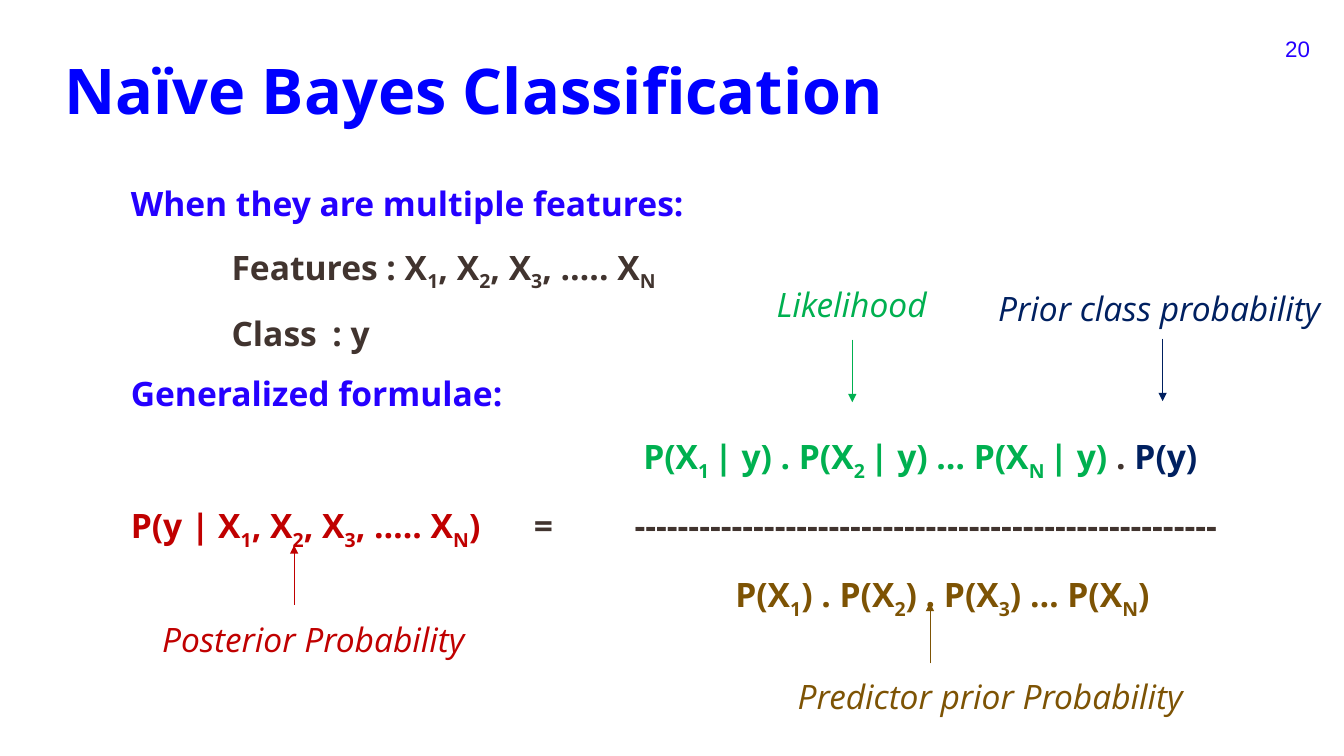
from pptx import Presentation
from pptx.dml.color import RGBColor
from pptx.enum.shapes import MSO_CONNECTOR as Connector
from pptx.enum.text import MSO_ANCHOR as Anchor, MSO_AUTO_SIZE as AutoSize, PP_ALIGN as Align
from pptx.oxml.ns import qn
from pptx.util import Inches, Pt
from lxml.etree import SubElement

BLUE, TITLE_BLUE, DARK = "2500FF", "0000FF", "41342F"
GREEN, NAVY, RED, BROWN = "00B050", "002060", "C00000", "7D5304"
BODY = {"name": "Open Sans", "size": Pt(24), "bold": True}
LABEL = {"name": "Open Sans", "size": Pt(24), "italic": True}
TITLE = {"name": "Open Sans", "size": Pt(45), "bold": True}
NUMBER = {"name": "Arial", "size": Pt(16)}

# Text between tildes is subscript.
LINES = [
    [("When they are multiple features:", BLUE)],
    [("\tFeatures : X~1~, X~2~, X~3~, ….. X~N~", DARK)],
    [("\tClass\t: y", DARK)],
    [("Generalized formulae:", BLUE)],
    [("\t\t\t\t\t ", DARK),
     ("P(X~1 ~| y) . P(X~2 ~| y) … P(X~N ~| y) ", GREEN),
     (". ", DARK), ("P(y)", NAVY)],
    [("P(y | X~1~, X~2~, X~3~, ….. X~N~)", RED), ("\t=\t" + "-" * 54, DARK)],
    [("\t\t\t\t\t\tP(X~1~) . P(X~2~) . P(X~3~) … P(X~N~)", BROWN)],
]

LABELS = [
    ("Posterior Probability", RED, (1.51, 6.09, 3.21, 0.5), (2.92, 6, 5.41)),
    ("Predictor prior Probability", BROWN, (7.82, 6.66, 4.03, 0.5), (9.23, 6.58, 5.98)),
    ("Likelihood", GREEN, (7.61, 2.77, 1.7, 0.5), (8.46, 3.37, 3.99)),
    ("Prior class probability", NAVY, (9.81, 2.81, 3.4, 0.5), (11.54, 3.36, 3.98)),
]


def color(value):
    """Turn a hex string into a colour."""
    return RGBColor.from_string(value)


def set_all(target, values):
    """Set every attribute named in a dict."""
    for name, value in values.items():
        setattr(target, name, value)


def add_spans(para, text, shade, style):
    """Add text to a paragraph, lowering the parts between tildes."""
    for index, part in enumerate(text.split("~")):
        if part:
            span = para.add_run()
            span.text = part
            set_all(span.font, style)
            span.font.color.rgb = color(shade)
            if index % 2:
                span.font._element.set("baseline", "-25000")


def add_text(page, place, lines, style, frame_values, para_values):
    """Add a text box whose lines are lists of text and colour pairs."""
    frame = page.shapes.add_textbox(*map(Inches, place)).text_frame
    set_all(frame, frame_values)
    for index, line in enumerate(lines):
        para = frame.paragraphs[0] if index == 0 else frame.add_paragraph()
        set_all(para, para_values)
        if any("\t" in text for text, shade in line):
            add_tabs(para)
        for text, shade in line:
            add_spans(para, text, shade, style)


def add_tabs(para):
    """Put a left tab stop at every inch."""
    stops = SubElement(para._p.get_or_add_pPr(), qn("a:tabLst"))
    for inch in range(1, 8):
        SubElement(stops, qn("a:tab"), pos=str(Inches(inch)), algn="l")


def add_arrow(page, x, start, end, shade):
    """Add a thin vertical arrow."""
    arrow = page.shapes.add_connector(
        Connector.STRAIGHT, Inches(x), Inches(start), Inches(x), Inches(end))
    arrow.line.width = Pt(0.5)
    arrow.line.color.rgb = color(shade)
    SubElement(arrow.line._get_or_add_ln(), qn("a:tailEnd"), type="triangle")
    SubElement(arrow._element.spPr, qn("a:effectLst"))


def main():
    """Build the slide and save it."""
    deck = Presentation()
    deck.slide_width, deck.slide_height = Inches(13.34), Inches(7.5)
    page = deck.slides.add_slide(deck.slide_layouts[6])
    middle = {"word_wrap": True, "vertical_anchor": Anchor.MIDDLE}
    add_text(page, (0.54, 0.54, 12.57, 0.78), [[("Naïve Bayes Classification", TITLE_BLUE)]],
             TITLE, middle, {"line_spacing": 0.9})
    add_text(page, (12.39, 0.24, 0.71, 0.48), [[("20", BLUE)]],
             NUMBER, middle, {"alignment": Align.RIGHT})
    add_text(page, (1.2, 1.57, 11.72, 4.63), LINES, BODY, {"word_wrap": True},
             {"alignment": Align.JUSTIFY, "line_spacing": 1.5})
    for text, shade, place, arrow in LABELS:
        add_text(page, place, [[(text, shade)]], LABEL,
                 {"word_wrap": False, "auto_size": AutoSize.SHAPE_TO_FIT_TEXT}, {})
        add_arrow(page, *arrow, shade)
    deck.save("out.pptx")


if __name__ == "__main__":
    main()
